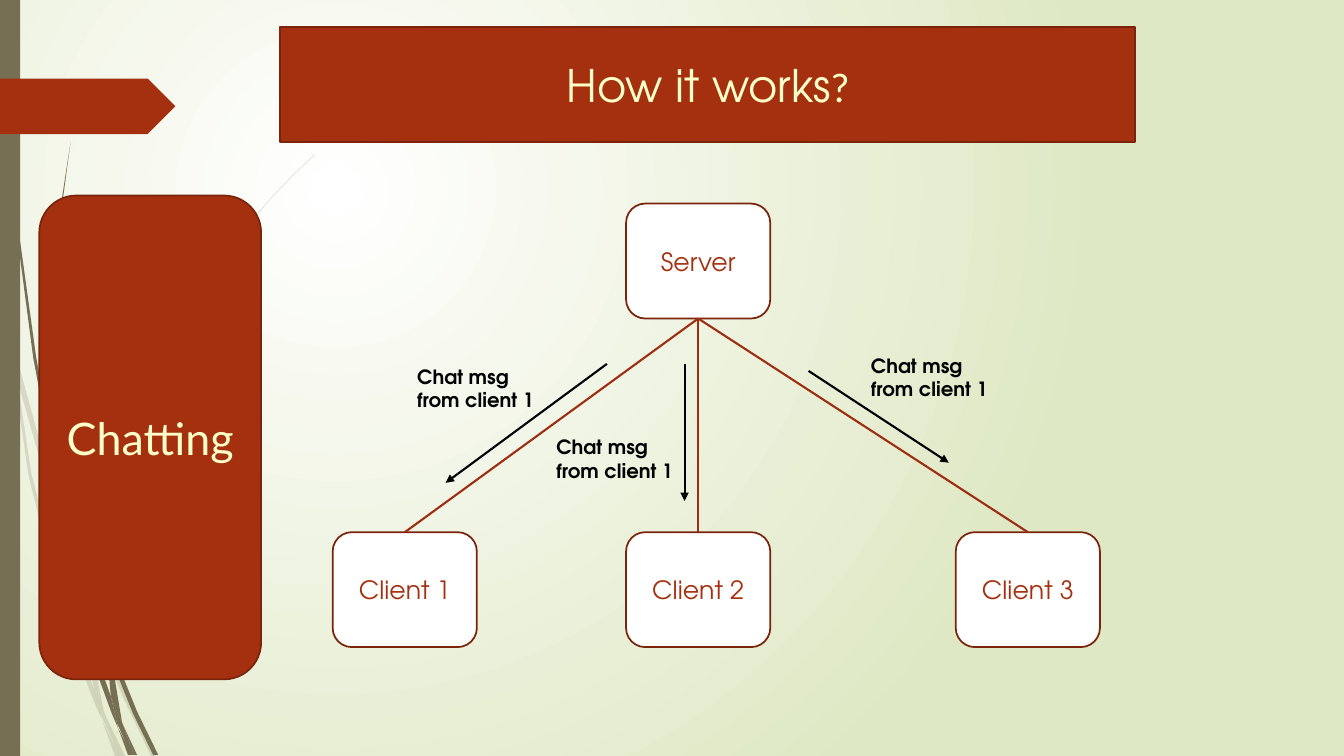
from lxml import etree
from pptx import Presentation
from pptx.dml.color import RGBColor
from pptx.enum.shapes import MSO_CONNECTOR, MSO_SHAPE
from pptx.enum.text import MSO_ANCHOR, PP_ALIGN
from pptx.oxml.ns import qn
from pptx.util import Inches, Pt

LINE = MSO_CONNECTOR.STRAIGHT
RECT, ROUND, ARROW = MSO_SHAPE.RECTANGLE, MSO_SHAPE.ROUNDED_RECTANGLE, MSO_SHAPE.PENTAGON
CENTER, MIDDLE = PP_ALIGN.CENTER, MSO_ANCHOR.MIDDLE
BOTTOM, TOP = 2, 0  # connection sites

RUST = RGBColor(0xA5, 0x30, 0x10)
EDGE = RGBColor(0x7A, 0x24, 0x0C)
LINK = RGBColor(0x9E, 0x2E, 0x0F)
OLIVE = RGBColor(0x76, 0x6F, 0x54)
CREAM = RGBColor(0xFF, 0xFF, 0xC7)
PALE = RGBColor(0xDF, 0xE8, 0xC4)
WHITE = RGBColor(0xFF, 0xFF, 0xFF)
BLACK = RGBColor(0, 0, 0)
GEO, SANS = "TeX Gyre Adventor", "Lato"

# Content
TITLE = [("How it works", GEO, 32), ("?", SANS, 28)]
TOPIC = "Chatting"
SERVER = ("Server", 6.21, 2.02)
CLIENTS = [("Client 1", 3.3, 5.28), ("Client 2", 6.21, 5.28), ("Client 3", 9.48, 5.28)]
NODE = (1.43, 1.14)
NOTE = ["Chat msg", "from client 1"]
# Note corner, arrow start, arrow end
FLOWS = [
    ((4.04, 3.57), (6.02, 3.61), (4.42, 4.79)),
    ((5.42, 4.27), (6.79, 3.61), (6.79, 4.97)),
    ((8.54, 3.46), (8.02, 3.68), (9.41, 4.59)),
]

# Grass blades: outlines in inches
FAINT = [
    [(.11, 3.5), (.09, 3.22), (0, 2.82), (0, 2.99), (.1, 3.44)],
    [(.58, 5.22), (.84, 5.99), (.85, 5.86), (.62, 5.2), (.14, 3.45), (.17, 3.76)],
    [(.92, 6.07), (.88, 5.96), (.88, 6.1), (1.23, 6.94), (1.5, 7.5), (1.55, 7.5),
     (1.27, 6.92)],
    [(1.19, 7.5), (1.24, 7.5), (1.05, 7.11)],
    [(.93, 6.83), (.7, 6.19), (.31, 4.69), (.17, 3.76), (.11, 3.5), (.28, 4.7),
     (.65, 6.21), (.92, 6.93), (1.01, 7.14), (.99, 7.07)],
    [(.84, 5.99), (.87, 6.46), (.93, 6.83), (.96, 6.92), (1.05, 7.11), (1.03, 7.06),
     (.91, 6.46), (.88, 6.1)],
    [(.88, 5.84), (1.1, 4.62), (1.6, 3.49), (2.29, 2.45), (2.68, 1.98), (2.9, 1.75),
     (3.12, 1.54), (3.12, 1.53), (2.89, 1.75), (2.68, 1.97), (2.28, 2.44),
     (1.58, 3.48), (1.07, 4.61), (.85, 5.84), (.88, 5.96)],
    [(1.01, 7.14), (1.14, 7.5), (1.19, 7.5)],
    [(.96, 6.92), (.93, 6.83), (.99, 7.07), (1.19, 7.5), (1.05, 7.11)],
]
SOLID = [
    [(.07, 1.1), (.17, 2.33), (.33, 3.55), (.56, 4.77), (.57, 4.81), (.55, 4.53),
     (.36, 3.55), (.19, 2.32), (.08, 1.09), (.05, .48), (.04, 0), (.03, 0), (.04, .48)],
    [(1.13, 6.49), (1.1, 6.41), (1.11, 6.56), (1.32, 7.08), (1.52, 7.49), (1.57, 7.49),
     (1.36, 7.06)],
    [(1.1, 6.91), (.98, 6.57), (.72, 5.56), (.64, 5.05), (.57, 4.77), (.68, 5.57),
     (.93, 6.59), (1.11, 7.08), (1.17, 7.22), (1.16, 7.17)],
    [(.6, 4.72), (.58, 4.53), (.54, 3.49), (.58, 2.45), (.63, 1.93), (.7, 1.41),
     (.62, 1.93), (.56, 2.45), (.52, 3.49), (.55, 4.49)],
    [(1.33, 7.49), (1.36, 7.49), (1.22, 7.19)],
    [(1.17, 7.22), (1.27, 7.49), (1.31, 7.49)],
    [(1.06, 6.45), (1.1, 6.91), (1.16, 7.06), (1.22, 7.19), (1.21, 7.16), (1.11, 6.56),
     (1.09, 6.51)],
    [(1.16, 7.06), (1.1, 6.91), (1.16, 7.17), (1.3, 7.49), (1.33, 7.49), (1.22, 7.19)],
]

prs = Presentation()
prs.slide_width, prs.slide_height = Inches(13.33), Inches(7.5)
slide = prs.slides.add_slide(prs.slide_layouts[5])
shapes = slide.shapes


def paint(shape, fill, edge=None):
    shape.fill.solid()
    shape.fill.fore_color.rgb = fill
    if edge is None:
        shape.line.fill.background()
    else:
        shape.line.color.rgb = edge
        shape.line.width = Pt(1.25)


def style(font, name, size, color, bold=False):
    font.name, font.size, font.bold = name, Pt(size), bold
    font.color.rgb = color


def block(kind, box, fill, edge=None):
    shape = shapes.add_shape(kind, *map(Inches, box))
    shape.shadow.inherit = False
    paint(shape, fill, edge)
    return shape


def label(shape, text, name, size, color):
    frame = shape.text_frame
    frame.vertical_anchor, frame.word_wrap = MIDDLE, True
    para = frame.paragraphs[0]
    para.text, para.alignment = text, CENTER
    style(para.font, name, size, color)


def node(text, x, y):
    shape = block(ROUND, (x, y, *NODE), WHITE, EDGE)
    label(shape, text, GEO, 18, RUST)
    return shape


def line(start, end, color):
    wire = shapes.add_connector(LINE, *map(Inches, (*start, *end)))
    wire.line.color.rgb, wire.line.width = color, Pt(1.5)
    etree.SubElement(wire._element.spPr, qn("a:effectLst"))
    return wire


def blade(points, alpha=None):
    pts = [(Inches(x), Inches(y)) for x, y in points]
    pen = shapes.build_freeform(*pts[0], scale=1.0)
    pen.add_line_segments(pts[1:], close=True)
    shape = pen.convert_to_shape()
    shape.shadow.inherit = False
    paint(shape, OLIVE)
    if alpha:
        color = shape._element.spPr.find(qn("a:solidFill"))[0]
        etree.SubElement(color, qn("a:alpha"), val=str(alpha * 1000))


# Background: radial glow
glow = slide.background.fill
glow.gradient()
for stop, color in zip(glow.gradient_stops, (WHITE, PALE)):
    stop.color.rgb = color
lin = slide._element.find(".//" + qn("a:lin"))
ring = etree.Element(qn("a:path"), {"path": "circle"})
etree.SubElement(ring, qn("a:fillToRect"), l="50000", t="50000", r="100000", b="100000")
lin.getparent().replace(lin, ring)

# Left decoration
for points in FAINT:
    blade(points, 20)
for points in SOLID:
    blade(points)
block(RECT, (0, 0, 0.2, 7.5), OLIVE)
block(ARROW, (0, 0.78, 1.74, 0.55), RUST)

# Title
title = shapes.title
title.left, title.top, title.width, title.height = map(Inches, (2.78, 0.27, 8.48, 1.14))
paint(title, RUST, EDGE)
title.text_frame.vertical_anchor = MIDDLE
head = title.text_frame.paragraphs[0]
head.alignment = CENTER
for text, name, size in TITLE:
    run = head.add_run()
    run.text = text
    style(run.font, name, size, CREAM)

# Topic card
label(block(ROUND, (0.39, 1.94, 2.2, 4.8), RUST, EDGE), TOPIC, SANS, 32, CREAM)

# Server linked to each client
server = node(*SERVER)
for client in CLIENTS:
    end = node(*client)
    wire = line((0, 0), (1, 1), LINK)
    wire.begin_connect(server, BOTTOM)
    wire.end_connect(end, TOP)

# Message arrows and notes
for (x, y), start, end in FLOWS:
    arrow = line(start, end, BLACK)
    etree.SubElement(arrow.line._get_or_add_ln(), qn("a:tailEnd"), type="triangle")
    note = shapes.add_textbox(*map(Inches, (x, y, 1.43, 0.57))).text_frame
    note.word_wrap = True
    note.text = "\n".join(NOTE)
    for para in note.paragraphs:
        style(para.font, GEO, 14, BLACK, True)

prs.save("out.pptx")
